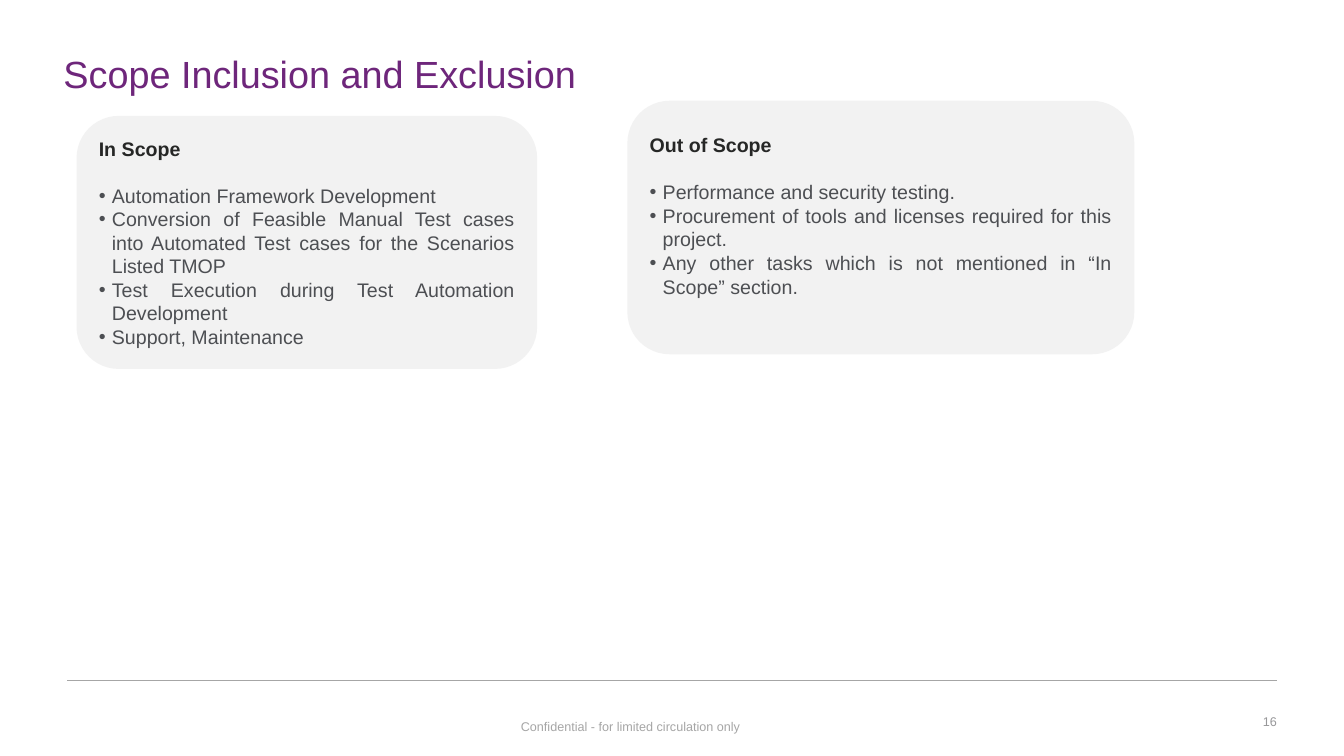
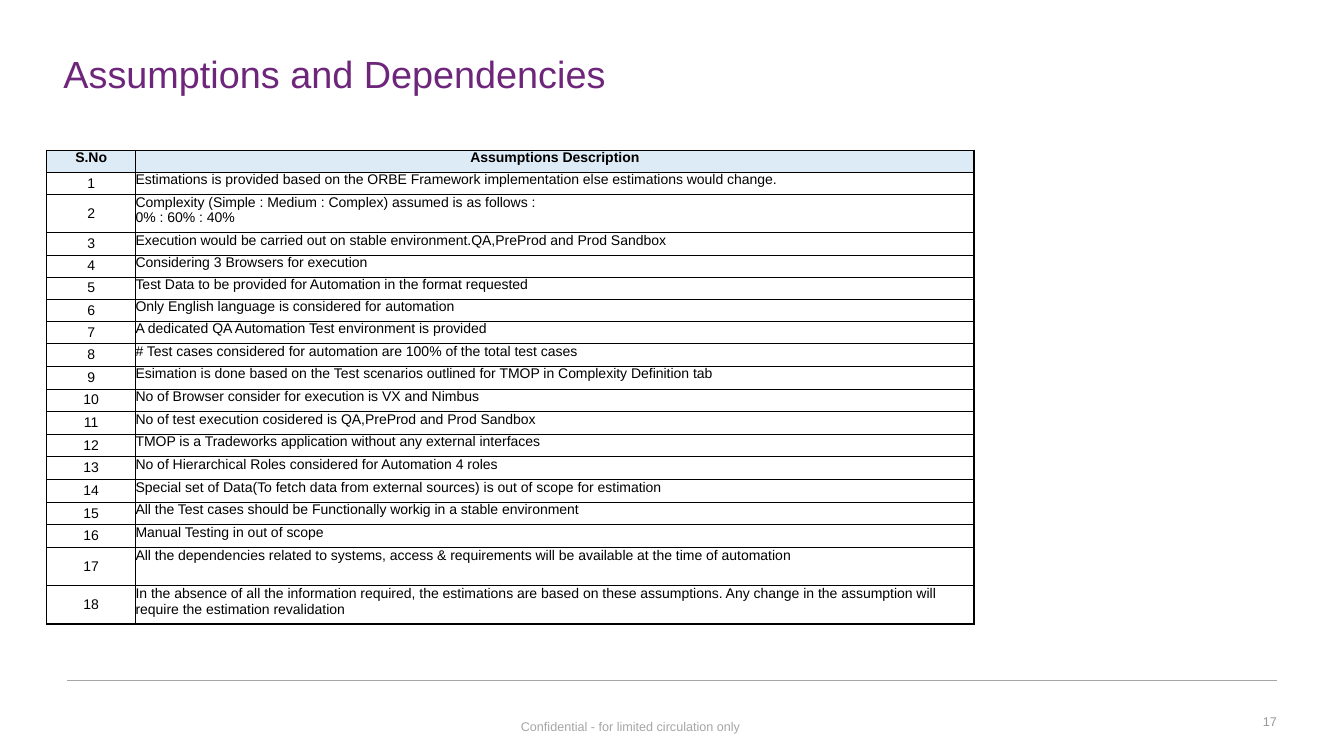
from dataclasses import dataclass

from lxml import etree
from pptx import Presentation
from pptx.dml.color import RGBColor
from pptx.enum.shapes import MSO_CONNECTOR, MSO_SHAPE
from pptx.enum.text import MSO_ANCHOR, PP_ALIGN
from pptx.oxml.ns import qn
from pptx.util import Pt

STRAIGHT = MSO_CONNECTOR.STRAIGHT
ROUNDED = MSO_SHAPE.ROUNDED_RECTANGLE
TOP, MIDDLE = MSO_ANCHOR.TOP, MSO_ANCHOR.MIDDLE
LEFT, CENTER, RIGHT, JUSTIFY = PP_ALIGN.LEFT, PP_ALIGN.CENTER, PP_ALIGN.RIGHT, PP_ALIGN.JUSTIFY

EMU_PER_PX = 4572
BLANK_LAYOUT = 6


@dataclass(frozen=True)
class Theme:
    font: str = "Arial"
    title: str = "6E267B"
    rule: str = "A6A6A6"
    page_number: str = "979799"
    card: str = "F2F2F2"
    heading: str = "262726"
    body: str = "4D4F53"
    table_header: str = "DDEBF7"
    table_body: str = "FFFFFF"
    ink: str = "000000"
    title_size: int = 27
    card_size: int = 14
    table_size: int = 10
    footer_size: int = 9
    heading_gap: float = 16.8
    thin: float = 0.5
    rule_width: float = 0.75
    thick: float = 1


THEME = Theme()
FOOTER = "Confidential - for limited circulation only"

SCOPE_CARDS = [
    ((152, 230, 914, 502), 10, "In Scope", [
        "Automation Framework Development",
        "Conversion of Feasible Manual Test cases into Automated Test cases "
        "for the Scenarios Listed TMOP",
        "Test Execution during Test Automation Development",
        "Support, Maintenance",
    ]),
    ((1245, 200, 1006, 503), 57, "Out of Scope", [
        "Performance and security testing.",
        "Procurement of tools and licenses required for this project.",
        "Any other tasks which is not mentioned in “In Scope” section.",
    ]),
]

ASSUMPTIONS = [
    "Estimations is provided based on the ORBE Framework implementation else estimations would change.",
    "Complexity (Simple : Medium : Complex) assumed is as follows :\n0% : 60% : 40%",
    "Execution would be carried out on stable environment.QA,PreProd and Prod Sandbox",
    "Considering 3 Browsers for execution",
    "Test Data to be provided for Automation in the format requested",
    "Only English language is considered for automation",
    "A dedicated QA Automation Test environment is provided",
    "# Test cases considered for automation are 100% of the total test cases",
    "Esimation is done based on the Test scenarios outlined for TMOP in Complexity Definition tab",
    "No of Browser consider for execution is VX and Nimbus",
    "No of test execution cosidered is QA,PreProd and Prod Sandbox",
    "TMOP is a Tradeworks application without any external interfaces",
    "No of Hierarchical Roles considered for Automation 4 roles",
    "Special set of Data(To fetch data from external sources) is out of scope for estimation",
    "All the Test cases should be Functionally workig in a stable environment",
    "Manual Testing in out of scope",
    "All the dependencies related to systems, access & requirements will be available "
    "at the time of automation",
    "In the absence of all the information required, the estimations are based on these assumptions. "
    "Any change in the assumption will require the estimation revalidation",
]
COLUMN_WIDTHS = [176, 1664]
ROW_HEIGHTS = [44, 44, 76] + [44] * 5 + [45] * 9 + [76] * 2


def px(*lengths):
    return [length * EMU_PER_PX for length in lengths]


def rgb(color):
    return RGBColor.from_string(color)


def style(para, size, color, bold=False, align=LEFT):
    para.alignment = align
    para.font.name = THEME.font
    para.font.size = Pt(size)
    para.font.bold = bold
    para.font.color.rgb = rgb(color)


def set_margins(holder, left, top, right, bottom):
    holder.margin_left, holder.margin_top, holder.margin_right, holder.margin_bottom = px(
        left, top, right, bottom)


def add_text(page, area, text, size, color, align=LEFT, anchor=TOP, margins=(0, 0, 0, 0), wrap=True):
    frame = page.shapes.add_textbox(*px(*area)).text_frame
    frame.word_wrap = wrap
    frame.vertical_anchor = anchor
    set_margins(frame, *margins)
    para = frame.paragraphs[0]
    para.text = text
    style(para, size, color, align=align)


def add_rule(page):
    line = page.shapes.add_connector(STRAIGHT, *px(134, 1350, 2534, 1350))
    line.line.color.rgb = rgb(THEME.rule)
    line.line.width = Pt(THEME.rule_width)
    etree.SubElement(line.element.spPr, qn("a:effectLst"))


def add_page(deck, title, number):
    page = deck.slides.add_slide(deck.slide_layouts[BLANK_LAYOUT])
    add_rule(page)
    add_text(page, (1014, 1416, 480, 50), FOOTER, THEME.footer_size, THEME.rule,
             margins=(20, 10, 20, 10), wrap=False)
    add_text(page, (126, 100, 2400, 90), title, THEME.title_size, THEME.title)
    add_text(page, (1912, 1392, 622, 80), str(number), THEME.footer_size, THEME.page_number,
             RIGHT, MIDDLE, (0, 10, 0, 10))
    return page


def add_bullet(para, indent):
    properties = para._p.get_or_add_pPr()
    properties.set("marL", str(indent))
    properties.set("indent", str(-indent))
    etree.SubElement(properties, qn("a:buFont"), typeface=THEME.font)
    etree.SubElement(properties, qn("a:buChar"), char="•")


def add_card(page, area, bottom_margin, heading, items):
    card = page.shapes.add_shape(ROUNDED, *px(*area))
    card.shadow.inherit = False
    card.fill.solid()
    card.fill.fore_color.rgb = rgb(THEME.card)
    card.line.fill.background()
    frame = card.text_frame
    frame.word_wrap = True
    frame.vertical_anchor = MIDDLE
    set_margins(frame, 20, 10, 20, bottom_margin)
    para = frame.paragraphs[0]
    para.text = heading
    style(para, THEME.card_size, THEME.heading, bold=True)
    para.space_after = Pt(THEME.heading_gap)
    for item in items:
        para = frame.add_paragraph()
        para.text = item
        style(para, THEME.card_size, THEME.body, align=JUSTIFY)
        add_bullet(para, *px(26))


def set_borders(cell, widths):
    properties = cell._tc.get_or_add_tcPr()
    for index, (side, width) in enumerate(widths.items()):
        border = etree.Element(qn(f"a:ln{side}"), w=str(Pt(width)))
        fill = etree.SubElement(border, qn("a:solidFill"))
        etree.SubElement(fill, qn("a:srgbClr"), val=THEME.ink)
        properties.insert(index, border)


def fill_cell(cell, text, header, centered):
    cell.fill.solid()
    cell.fill.fore_color.rgb = rgb(THEME.table_header if header else THEME.table_body)
    set_margins(cell, 0, 0, 0, 0)
    cell.vertical_anchor = MIDDLE if centered and not header else TOP
    para = cell.text_frame.paragraphs[0]
    para.text = text
    style(para, THEME.table_size, THEME.ink, header, CENTER if centered or header else LEFT)


def add_assumptions_table(page, left, top):
    rows = [("S.No", "Assumptions Description")]
    rows += [(str(number), text) for number, text in enumerate(ASSUMPTIONS, 1)]
    area = px(left, top, sum(COLUMN_WIDTHS), sum(ROW_HEIGHTS))
    table = page.shapes.add_table(len(rows), len(COLUMN_WIDTHS), *area).table
    table.first_row = table.horz_banding = False
    for column, width in zip(table.columns, px(*COLUMN_WIDTHS)):
        column.width = width
    for row, height in zip(table.rows, px(*ROW_HEIGHTS)):
        row.height = height
    last_row, last_column = len(rows) - 1, len(COLUMN_WIDTHS) - 1
    for r, texts in enumerate(rows):
        for c, text in enumerate(texts):
            cell = table.cell(r, c)
            fill_cell(cell, text, header=r == 0, centered=c == 0)
            heavy = {"L": c == 0, "R": c == last_column, "T": r <= 1, "B": r in (0, last_row)}
            set_borders(cell, {side: THEME.thick if on else THEME.thin for side, on in heavy.items()})


def main():
    deck = Presentation()
    deck.slide_width, deck.slide_height = px(2667, 1500)
    scope = add_page(deck, "Scope Inclusion and Exclusion", 16)
    for card in SCOPE_CARDS:
        add_card(scope, *card)
    assumptions = add_page(deck, "Assumptions and Dependencies", 17)
    add_assumptions_table(assumptions, 93, 298)
    deck.save("out.pptx")


if __name__ == "__main__":
    main()
